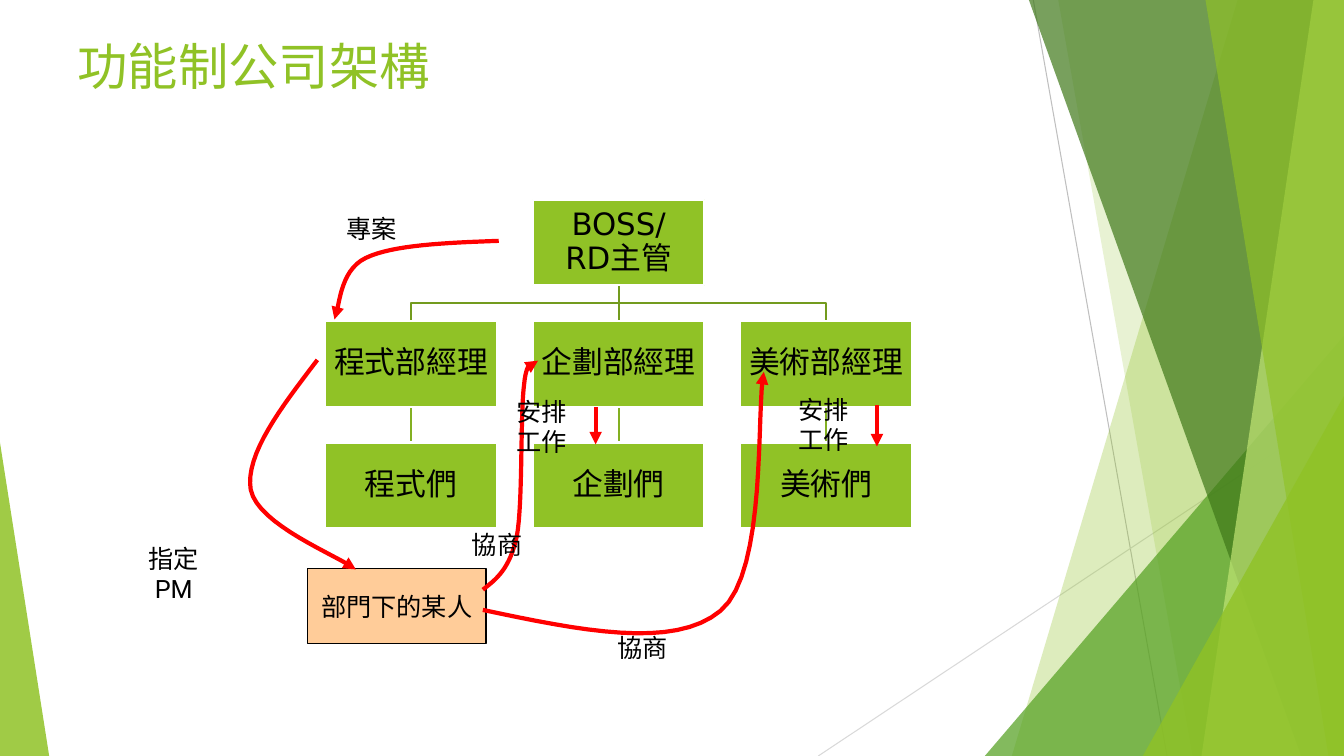
"""Build a slide showing the organisation of a functional company."""
import pptx
import pptx.dml.color
import pptx.enum.shapes
import pptx.enum.text
import pptx.oxml.ns
import pptx.oxml.xmlchemy
import pptx.util
from lxml import etree
from pptx.util import Cm

COLORS = {
    "green": "90C226", "leaf": "54A021", "forest": "3F7819", "lime": "C0E474",
    "manager_link": "739B1E", "staff_link": "83B022", "arrow": "FF0000",
    "person": "FFCC99", "black": "000000", "white": "FFFFFF",
    "gray": "BFBFBF", "pale_gray": "D9D9D9",
}
WIDTH, HEIGHT = 33.87, 19.05
BOX_WIDTH, BOX_HEIGHT = 4.32, 2.16
FIRST_LEFT, FIRST_TOP = 8.2, 5.03
COLUMN_STEP, ROW_STEP = 5.23, 3.06
DEPARTMENTS = [("程式部經理", "程式們"), ("企劃部經理", "企劃們"), ("美術部經理", "美術們")]
LABELS = [
    ("專案", 8.18, 5.03), ("指定PM", 3.2, 13.72), ("協商", 11.35, 12.98),
    ("協商", 15.01, 15.57), ("安排工作", 12.47, 10.01), ("安排工作", 19.58, 9.96),
]
CURVES = [
    [(8, 9.07), (7.09, 10.26), (6.17, 11.46), (6.32, 12.34),
     (6.5, 13.23), (8.51, 14), (8.97, 14.35)],
    [(12.57, 6.07), (11.23, 6.12), (9.91, 6.17), (9.22, 6.5),
     (8.53, 6.83), (8.56, 7.8), (8.43, 8.05)],
    [(12.17, 14.86), (12.5, 14.6), (12.85, 14.35), (13.03, 13.49),
     (13.18, 12.65), (13.11, 10.41), (13.21, 9.68),
     (13.28, 8.97), (13.49, 9.19), (13.56, 9.09)],
    [(12.17, 15.37), (14.58, 15.88), (16.99, 16.38), (18.16, 15.39),
     (19.35, 14.4), (19.05, 10.26), (19.25, 9.37)],
]


def rgb(name):
    return pptx.dml.color.RGBColor.from_string(COLORS[name])


def set_fill(shape, color, opacity=100):
    shape.shadow.inherit = False
    shape.fill.solid()
    shape.fill.fore_color.rgb = rgb(color)
    if opacity < 100:
        color_node = shape.element.spPr.find(".//" + pptx.oxml.ns.qn("a:srgbClr"))
        alpha = etree.SubElement(color_node, pptx.oxml.ns.qn("a:alpha"))
        alpha.set("val", str(opacity * 1000))


def set_line(shape, color, width, arrow=False):
    shape.line.color.rgb = rgb(color)
    shape.line.width = pptx.util.Pt(width)
    if arrow:
        line_node = shape.element.spPr.find(pptx.oxml.ns.qn("a:ln"))
        etree.SubElement(line_node, pptx.oxml.ns.qn("a:tailEnd")).set("type", "triangle")


def set_text(shape, text, size, font, color="black", centered=True):
    frame = shape.text_frame
    frame.text = text
    if centered:
        frame.vertical_anchor = pptx.enum.text.MSO_ANCHOR.MIDDLE
    for paragraph in frame.paragraphs:
        if centered:
            paragraph.alignment = pptx.enum.text.PP_ALIGN.CENTER
        paragraph.font.size = pptx.util.Pt(size)
        paragraph.font.name = font
        paragraph.font.color.rgb = rgb(color)
    return frame


def add_line(slide, start, end, color, width, arrow=False):
    connector = slide.shapes.add_connector(
        pptx.enum.shapes.MSO_CONNECTOR.STRAIGHT, *[Cm(value) for value in start + end])
    set_line(connector, color, width, arrow)
    etree.SubElement(connector.element.spPr, pptx.oxml.ns.qn("a:effectLst"))
    return connector


def add_path(slide, points, closed=False):
    corners = [(Cm(x), Cm(y)) for x, y in points]
    builder = slide.shapes.build_freeform(*corners[0])
    builder.add_line_segments(corners[1:], close=closed)
    shape = builder.convert_to_shape()
    shape.shadow.inherit = False
    if not closed:
        shape.fill.background()
    return shape


def add_band(slide, top_x, bottom_x, color, opacity):
    corners = [(top_x, 0), (WIDTH, 0), (WIDTH, HEIGHT), (bottom_x, HEIGHT)]
    band = add_path(slide, corners, closed=True)
    set_fill(band, color, opacity)
    band.line.fill.background()


def add_triangle(slide, left, top, width, apex, color, opacity):
    triangle = slide.shapes.add_shape(
        pptx.enum.shapes.MSO_SHAPE.ISOSCELES_TRIANGLE,
        Cm(left), Cm(top), Cm(width), Cm(HEIGHT - top))
    triangle.adjustments[0] = apex
    set_fill(triangle, color, opacity)
    triangle.line.fill.background()


def add_decoration(slide):
    add_line(slide, (26.04, 0), (29.41, HEIGHT), "gray", 0.75)
    add_line(slide, (WIDTH, 10.24), (20.62, HEIGHT), "pale_gray", 0.75)
    add_band(slide, 31.19, 25.5, "green", 30)
    add_band(slide, 26.67, 30.05, "green", 20)
    add_triangle(slide, 24.82, 8.46, 9.05, 1, "leaf", 72)
    add_band(slide, 25.93, 32.79, "forest", 70)
    add_band(slide, 33.1, 30.28, "lime", 70)
    add_band(slide, 30.38, 33.48, "green", 65)
    add_triangle(slide, 28.8, 9.98, 5.07, 1, "green", 80)
    add_triangle(slide, 0, 11.15, 1.24, 0, "green", 85)


def add_box(slide, left, top, width, height, fill, line, line_width):
    box = slide.shapes.add_shape(
        pptx.enum.shapes.MSO_SHAPE.RECTANGLE, Cm(left), Cm(top), Cm(width), Cm(height))
    set_fill(box, fill)
    set_line(box, line, line_width)
    return box


def add_role(slide, text, column, row):
    box = add_box(slide, FIRST_LEFT + column * COLUMN_STEP, FIRST_TOP + row * ROW_STEP,
                  BOX_WIDTH, BOX_HEIGHT, "green", "white", 1.5)
    frame = set_text(box, text, 22, "DejaVu Sans")
    frame.margin_left = frame.margin_right = Cm(0.05)
    frame.margin_top = frame.margin_bottom = Cm(0.05)
    for paragraph in frame.paragraphs:
        paragraph.line_spacing = 0.9
    return box


def link_roles(slide, upper, lower, color):
    start = (upper.left + upper.width // 2, upper.top + upper.height)
    end = (lower.left + lower.width // 2, lower.top)
    start_x, start_y, end_x, end_y = [pptx.util.Emu(value).cm for value in start + end]
    if abs(start_x - end_x) < 0.01:
        link = add_line(slide, (start_x, start_y), (end_x, end_y), color, 1.5)
        link.begin_connect(upper, 2)
        link.end_connect(lower, 0)
    else:
        middle_y = (start_y + end_y) / 2
        link = add_path(slide, [(start_x, start_y), (start_x, middle_y),
                                (end_x, middle_y), (end_x, end_y)])
        set_line(link, color, 1.5)
    return link


def add_organisation(slide):
    boss = add_role(slide, "BOSS/\nRD主管", 1, 0)
    for column, (manager_text, staff_text) in enumerate(DEPARTMENTS):
        manager = add_role(slide, manager_text, column, 1)
        staff = add_role(slide, staff_text, column, 2)
        for link in (link_roles(slide, boss, manager, "manager_link"),
                     link_roles(slide, manager, staff, "staff_link")):
            boss.element.addprevious(link.element)


def add_curved_arrow(slide, controls, steps=16):
    points = [controls[0]]
    for first in range(0, len(controls) - 1, 3):
        segment = controls[first:first + 4]
        for step in range(1, steps + 1):
            t = step / steps
            weights = ((1 - t) ** 3, 3 * t * (1 - t) ** 2, 3 * t * t * (1 - t), t ** 3)
            points.append(tuple(sum(weight * point[axis] for weight, point
                                    in zip(weights, segment)) for axis in (0, 1)))
    set_line(add_path(slide, points), "arrow", 3, arrow=True)


def add_label(slide, text, left, top):
    label = slide.shapes.add_textbox(Cm(left), Cm(top), Cm(2.36), Cm(1.47))
    set_text(label, text, 18, "Roboto").word_wrap = False


def main():
    presentation = pptx.Presentation()
    presentation.slide_width, presentation.slide_height = Cm(WIDTH), Cm(HEIGHT)
    slide = presentation.slides.add_slide(presentation.slide_layouts[6])
    add_decoration(slide)
    title = slide.shapes.add_textbox(Cm(1.7), Cm(0.76), Cm(30.48), Cm(3.18))
    set_text(title, "功能制公司架構", 36, "Roboto", "green", centered=False).word_wrap = True
    add_organisation(slide)
    person = add_box(slide, 7.75, 14.33, 4.5, 1.88, "person", "black", 0.75)
    set_text(person, "部門下的某人", 18, "Roboto").word_wrap = False
    for controls in CURVES:
        add_curved_arrow(slide, controls)
    add_line(slide, (15.01, 10.26), (15.01, 11.2), "arrow", 3, arrow=True)
    add_line(slide, (22.1, 10.21), (22.1, 11.25), "arrow", 3, arrow=True)
    for text, left, top in LABELS:
        add_label(slide, text, left, top)
    presentation.save("out.pptx")


if __name__ == "__main__":
    main()
